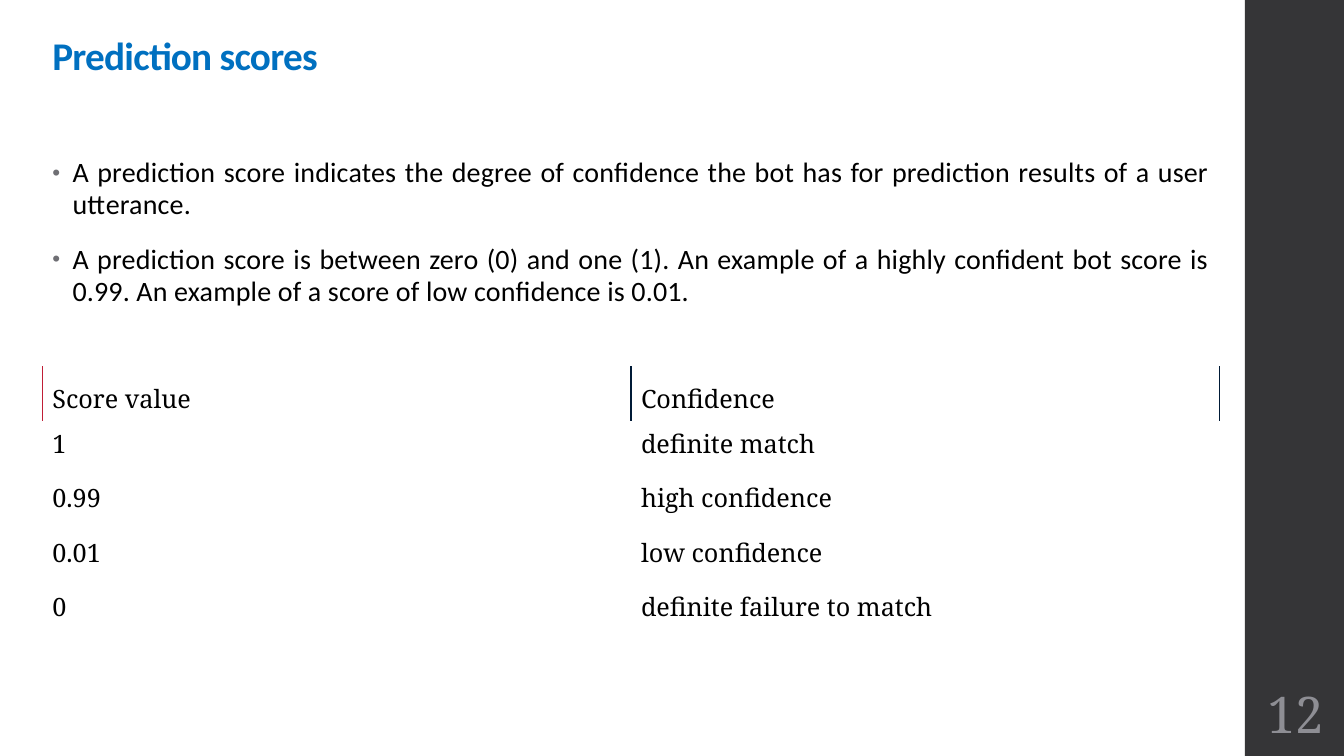
import pptx
import pptx.dml.color
import pptx.enum.shapes
import pptx.enum.text
import pptx.oxml
import pptx.oxml.ns
import pptx.util

Pt = pptx.util.Pt
ANCHOR = pptx.enum.text.MSO_ANCHOR
ALIGN = pptx.enum.text.PP_ALIGN
COLORS = {
    "white": "FFFFFF", "black": "000000", "title": "0070C0",
    "band": "353537", "number": "8E8E94", "bullet": "6F6F74",
    "red": "C01E36", "navy": "001A36",
}
SANS, SERIF = "Calibri", "Noto Serif"
NS = pptx.oxml.ns.nsdecls("a")

BULLETS = [
    "A prediction score indicates the degree of confidence the bot has for "
    "prediction results of a user utterance.",
    "A prediction score is between zero (0) and one (1). An example of a highly "
    "confident bot score is 0.99. An example of a score of low confidence is 0.01.",
]
SCORES = [
    ("Score value", "Confidence"),
    ("1", "definite match"),
    ("0.99", "high confidence"),
    ("0.01", "low confidence"),
    ("0", "definite failure to match"),
]


def rgb(name):
    return pptx.dml.color.RGBColor.from_string(COLORS[name])


def fill(obj, color):
    obj.fill.solid()
    obj.fill.fore_color.rgb = rgb(color)


def add_run(p, text, font, size, color, bold=False, spacing=0):
    r = p.add_run()
    r.text = text
    r.font.name, r.font.size, r.font.bold = font, Pt(size), bold
    r.font.color.rgb = rgb(color)
    if spacing:
        r.font._element.set("spc", str(round(spacing * 100)))


def place(sp, x, y, w, h):
    sp.left, sp.top, sp.width, sp.height = Pt(x), Pt(y), Pt(w), Pt(h)


def open_frame(sp, anchor):
    tf = sp.text_frame
    tf.word_wrap = True
    tf.auto_size = pptx.enum.text.MSO_AUTO_SIZE.NONE
    tf.vertical_anchor = anchor
    return tf


def add_bullet(p):
    pPr = p._p.get_or_add_pPr()
    pPr.set("marL", str(Pt(14.4)))
    pPr.set("indent", str(-Pt(14.4)))
    for xml in (
        f'<a:buClr {NS}><a:srgbClr val="{COLORS["bullet"]}"/></a:buClr>',
        f'<a:buSzPct {NS} val="80000"/>',
        f'<a:buFont {NS} typeface="Arial"/>',
        f'<a:buChar {NS} char="•"/>',
    ):
        pPr.append(pptx.oxml.parse_xml(xml))


def set_borders(cell, left="white", right="white"):
    sides = [("L", left), ("R", right), ("T", "white"), ("B", "white")]
    tcPr = cell._tc.get_or_add_tcPr()
    for i, (side, color) in enumerate(sides):
        width = Pt(0.75 if color == "white" else 1)
        tcPr.insert(i, pptx.oxml.parse_xml(
            f'<a:ln{side} {NS} w="{width}"><a:solidFill>'
            f'<a:srgbClr val="{COLORS[color]}"/></a:solidFill></a:ln{side}>'))


# Dark side band with the page number near its foot
def side_band(s, x, y, w, h):
    sp = s.shapes.add_shape(pptx.enum.shapes.MSO_SHAPE.RECTANGLE,
                            Pt(x), Pt(y), Pt(w), Pt(h))
    sp.shadow.inherit = False
    fill(sp, "band")
    sp.line.fill.background()
    box = s.shapes.add_textbox(Pt(x), Pt(y + h - 54), Pt(w), Pt(46.8))
    tf = open_frame(box, ANCHOR.MIDDLE)
    tf.margin_left = tf.margin_right = tf.margin_top = tf.margin_bottom = Pt(3.6)
    p = tf.paragraphs[0]
    p.alignment = ALIGN.CENTER
    add_run(p, "12", SERIF, 36, "number")


# Slide title
def title(s, x, y, w, h):
    sp = s.shapes.title
    place(sp, x, y, w, h)
    p = open_frame(sp, ANCHOR.TOP).paragraphs[0]
    p.alignment, p.line_spacing = ALIGN.LEFT, 0.9
    add_run(p, "Prediction scores", SANS, 28, "title", bold=True, spacing=-0.5)


# Bulleted explanation
def explanation(s, x, y, w, h):
    sp = s.placeholders[1]
    place(sp, x, y, w, h)
    tf = open_frame(sp, ANCHOR.TOP)
    for i, text in enumerate(BULLETS):
        p = tf.add_paragraph() if i else tf.paragraphs[0]
        p.alignment, p.line_spacing = ALIGN.JUSTIFY, 0.95
        p.space_before, p.space_after = Pt(14), Pt(2)
        add_bullet(p)
        add_run(p, text, SANS, 20, "black", spacing=0.1)


# Score table: only the header row has coloured side rules
def score_table(s, x, y, w, h):
    rows, cols = len(SCORES), len(SCORES[0])
    table = s.shapes.add_table(rows, cols, Pt(x), Pt(y), Pt(w), Pt(h)).table
    table.first_row = table.horz_banding = False
    for col in table.columns:
        col.width = Pt(w / cols)
    for i, values in enumerate(SCORES):
        table.rows[i].height = Pt(h / rows)
        for j, text in enumerate(values):
            cell = table.cell(i, j)
            fill(cell, "white")
            if i == 0:
                cell.vertical_anchor = ANCHOR.BOTTOM
                set_borders(cell, "navy" if j else "red", "navy")
            else:
                set_borders(cell)
            add_run(cell.text_frame.paragraphs[0], text, SERIF, 18, "black")


prs = pptx.Presentation()
prs.slide_width, prs.slide_height = Pt(960), Pt(540)
s = prs.slides.add_slide(prs.slide_layouts[1])
fill(s.background, "white")
side_band(s, 889.2, 0, 72, 540)
title(s, 30.2, 22.3, 611.3, 129.6)
explanation(s, 30.2, 108.7, 841, 129.6)
score_table(s, 30.2, 262, 841, 195)
prs.save("out.pptx")
